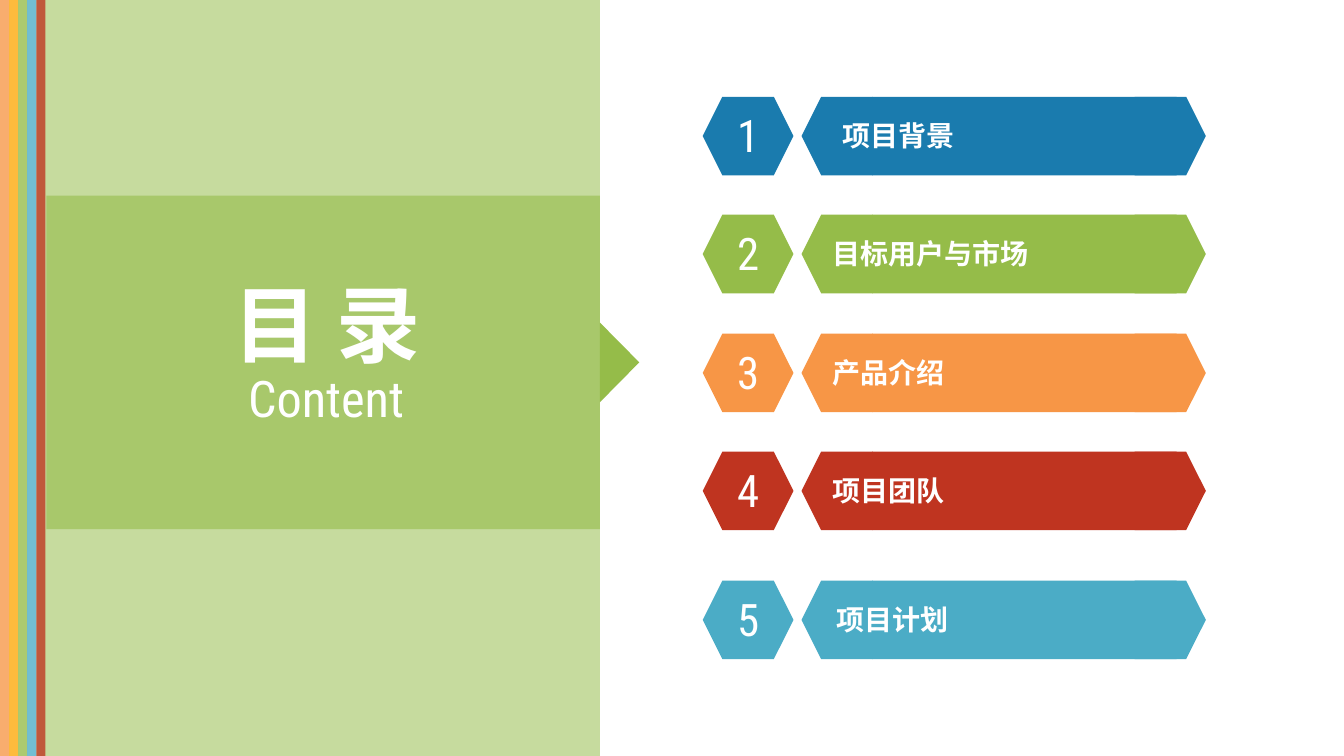
from lxml import etree
from pptx import Presentation
from pptx import util as u
from pptx.dml.color import RGBColor
from pptx.enum import shapes, text
from pptx.oxml.ns import qn

COLORS = {
    "blue": "1A7BAE",
    "green": "95BC49",
    "orange": "F79646",
    "amber": "FDA907",
    "red": "BF3420",
    "teal": "4BACC6",
    "white": "FFFFFF",
}
LATIN, CJK, DIGITS = "Arial", "Noto Sans CJK SC", "Roboto Condensed"

STRIPES = ["orange", "amber", "green", "teal", "red"]
STRIPE_WIDTH = 0.09

# heading, colour, row top, heading left
CHAPTERS = [
    ("项目背景", "blue", 0.96, 8.26),
    ("目标用户与市场", "green", 2.13, 8.16),
    ("产品介绍", "orange", 3.31, 8.16),
    ("项目团队", "red", 4.48, 8.16),
    ("项目计划", "teal", 5.76, 8.2),
]
ROW_HEIGHT, CAP_WIDTH = 0.78, 0.9


class ContentsSlide:
    def __init__(self, deck):
        self.slide = deck.slides.add_slide(deck.slide_layouts[2])

    def block(self, preset, box, color, opacity=100, parent=None):
        """Add a borderless filled shape; opacity is in percent."""
        owner = parent or self.slide
        shape = owner.shapes.add_shape(preset, *map(u.Inches, box))
        shape.shadow.inherit = False
        shape.fill.solid()
        shape.fill.fore_color.rgb = RGBColor.from_string(COLORS[color])
        shape.line.fill.background()
        if opacity < 100:
            fill_color = shape.element.find(".//" + qn("a:srgbClr"))
            etree.SubElement(fill_color, qn("a:alpha"), val=str(opacity * 1000))
        return shape

    def bar(self, top, color):
        """Build a long bar with pointed ends from two hexagons and a rectangle."""
        group = self.slide.shapes.add_group_shape()
        hexagon, rectangle = shapes.MSO_SHAPE.HEXAGON, shapes.MSO_SHAPE.RECTANGLE
        for preset, left, width in [
            (hexagon, 7.95, CAP_WIDTH),
            (rectangle, 8.65, 3.02),
            (hexagon, 11.06, CAP_WIDTH),
        ]:
            self.block(preset, (left, top, width, ROW_HEIGHT), color, parent=group)

    def set_text(self, holder, wording, size, font, bold=False, centered=True):
        frame = holder.text_frame
        frame.word_wrap = True
        frame.auto_size = text.MSO_AUTO_SIZE.SHAPE_TO_FIT_TEXT
        frame.vertical_anchor = text.MSO_ANCHOR.TOP
        paragraph = frame.paragraphs[0]
        paragraph.alignment = text.PP_ALIGN.CENTER if centered else text.PP_ALIGN.LEFT
        run = paragraph.add_run()
        run.text = wording
        run.font.size = u.Pt(size)
        run.font.bold = bold
        run.font.name = font
        run.font.color.rgb = RGBColor.from_string(COLORS["white"])
        spacing = etree.SubElement(holder.element.find(".//" + qn("a:pPr")), qn("a:spcBef"))
        etree.SubElement(spacing, qn("a:spcPct"), val="20000")
        etree.SubElement(holder.element.find(".//" + qn("a:rPr")), qn("a:ea"), typeface=CJK)

    def label(self, box, wording, size, font, **style):
        holder = self.slide.shapes.add_textbox(*map(u.Inches, box))
        self.set_text(holder, wording, size, font, **style)

    def placeholder(self, holder, box, wording, size, font, **style):
        """Place a template placeholder in front of the panels and fill it."""
        holder.left, holder.top, holder.width, holder.height = map(u.Inches, box)
        holder.element.getparent().append(holder.element)
        self.set_text(holder, wording, size, font, **style)

    def title_panel(self):
        rectangle = shapes.MSO_SHAPE.RECTANGLE
        self.block(rectangle, (0.36, 0, 5.59, 7.5), "green", 53)
        for index, color in enumerate(STRIPES):
            self.block(rectangle, (index * STRIPE_WIDTH, 0, STRIPE_WIDTH, 7.5), color, 78)
        self.block(rectangle, (0.46, 1.94, 5.49, 3.31), "green", 60)
        pointer = self.block(
            shapes.MSO_SHAPE.ISOSCELES_TRIANGLE, (5.75, 3.4, 0.79, 0.39), "green"
        )
        pointer.rotation = 90
        title, subtitle = self.slide.shapes.title, self.slide.placeholders[1]
        self.placeholder(title, (0.91, 2.65, 4.66, 1.11), "目 录", 60, CJK, bold=True)
        self.placeholder(subtitle, (0.91, 3.59, 4.65, 0.71), "Content", 36, DIGITS)

    def chapter(self, number, heading, color, top, heading_left):
        self.bar(top, color)
        self.block(
            shapes.MSO_SHAPE.HEXAGON, (6.97, top, CAP_WIDTH, ROW_HEIGHT), color
        )
        self.label((7.07, top + 0.06, 0.7, 0.64), str(number), 32, DIGITS)
        self.label(
            (heading_left, top + 0.17, 3.68, 0.44),
            heading, 20, LATIN, bold=True, centered=False,
        )


def main():
    deck = Presentation()
    deck.slide_width, deck.slide_height = u.Inches(13.33), u.Inches(7.5)
    contents = ContentsSlide(deck)
    contents.title_panel()
    for number, chapter in enumerate(CHAPTERS, start=1):
        contents.chapter(number, *chapter)
    deck.save("out.pptx")


if __name__ == "__main__":
    main()
